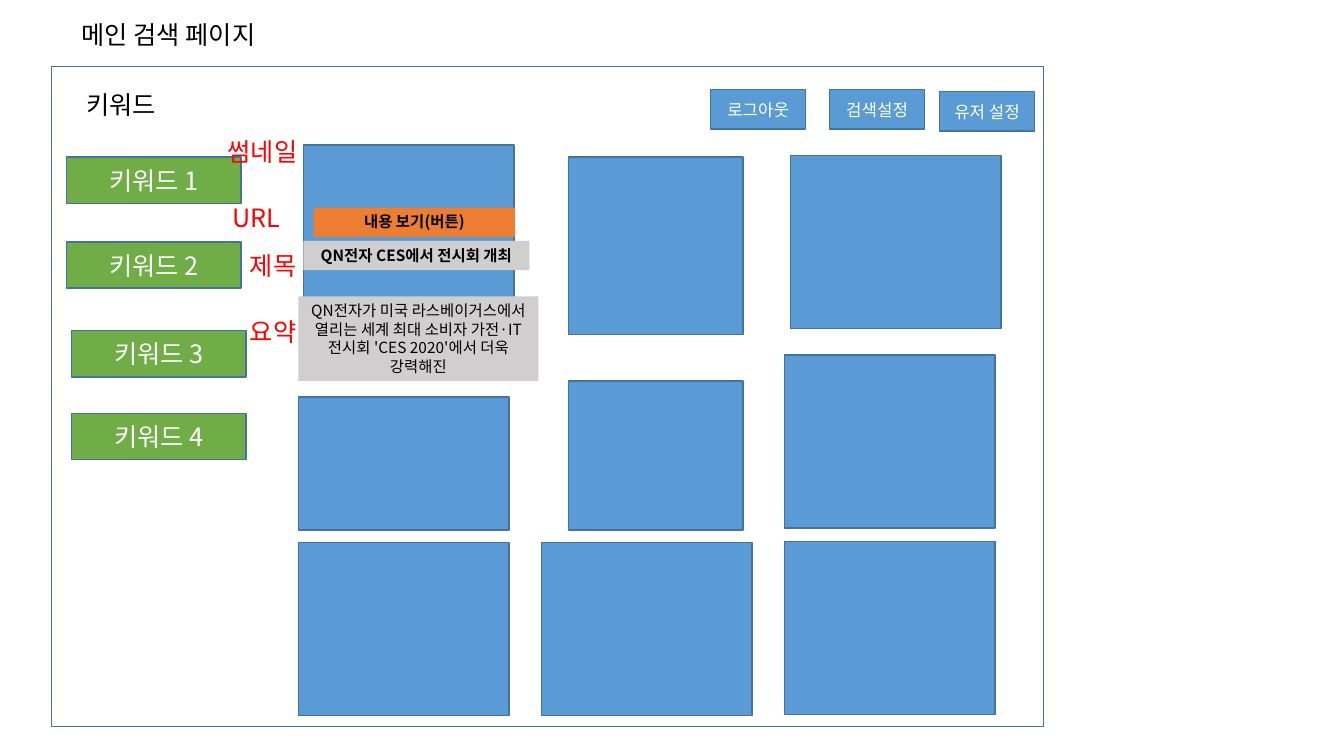
from pptx import Presentation
from pptx.dml.color import RGBColor
from pptx.enum.shapes import MSO_SHAPE
from pptx.enum.text import MSO_ANCHOR, MSO_AUTO_SIZE, PP_ALIGN
from pptx.oxml.ns import qn
from pptx.util import Inches, Pt
from lxml import etree

FONT = "Noto Sans CJK KR"
WHITE, BLACK, RED = "FFFFFF", "000000", "FF0000"
BLUE, GREEN, ORANGE, GRAY, OUTLINE = "5B9BD5", "70AD47", "ED7D31", "D0CECE", "43739E"


def write(shape, text, size, color, align=PP_ALIGN.LEFT, anchor=MSO_ANCHOR.TOP, bold=False):
    """Fill a shape with one wrapped paragraph, using FONT for Latin and Korean."""
    frame = shape.text_frame
    frame.word_wrap = True
    frame.auto_size = MSO_AUTO_SIZE.NONE
    frame.vertical_anchor = anchor
    frame.text = text
    paragraph = frame.paragraphs[0]
    paragraph.alignment = align
    font = paragraph.font
    font.size, font.bold, font.name = Pt(size), bold, FONT
    font.color.rgb = RGBColor.from_string(color)
    latin = paragraph._p.find(".//" + qn("a:latin"))
    east_asian = etree.Element(qn("a:ea"), typeface=FONT)
    latin.addnext(east_asian)


def add_rectangle(left, top, width, height, fill, outline=OUTLINE):
    box = page.shapes.add_shape(
        MSO_SHAPE.RECTANGLE, Inches(left), Inches(top), Inches(width), Inches(height))
    box.shadow.inherit = False
    box.fill.solid()
    box.fill.fore_color.rgb = RGBColor.from_string(fill)
    if outline:
        box.line.color.rgb = RGBColor.from_string(outline)
        box.line.width = Pt(1)
    else:
        box.line.fill.background()
    return box


deck = Presentation()
deck.slide_width, deck.slide_height = Inches(13.33), Inches(7.5)
page = deck.slides.add_slide(deck.slide_layouts[5])

title = page.shapes.title
title.left, title.top = Inches(0.71), Inches(0.14)
title.width, title.height = Inches(2.61), Inches(0.4)
write(title, "메인 검색 페이지", 18, BLACK)

# Page frame
add_rectangle(0.51, 0.66, 9.84, 6.55, WHITE)

# Keyword buttons
for number, (left, top) in enumerate([(0.66, 1.56), (0.66, 2.4), (0.71, 3.28), (0.71, 4.1)], 1):
    button = add_rectangle(left, top, 1.73, 0.46, GREEN)
    write(button, f"키워드 {number}", 18, WHITE, PP_ALIGN.CENTER, MSO_ANCHOR.MIDDLE)

# Menu buttons
for label, left, top in [("로그아웃", 7.05, 0.89), ("검색설정", 8.23, 0.89), ("유저 설정", 9.32, 0.91)]:
    button = add_rectangle(left, top, 0.94, 0.39, BLUE)
    write(button, label, 12, WHITE, PP_ALIGN.CENTER, MSO_ANCHOR.MIDDLE)

# Result thumbnails, row by row
for left, top, width, height in [
    (3.01, 1.44, 2.09, 1.84), (5.64, 1.56, 1.73, 1.76), (7.84, 1.54, 2.09, 1.72),
    (2.96, 3.94, 2.09, 1.32), (5.64, 3.78, 1.73, 1.48), (7.78, 3.52, 2.09, 1.72),
    (2.96, 5.38, 2.09, 1.72), (5.37, 5.38, 2.09, 1.72), (7.78, 5.37, 2.09, 1.72),
]:
    add_rectangle(left, top, width, height, BLUE)

# Details of the first result
summary = "QN전자가 미국 라스베이거스에서 열리는 세계 최대 소비자 가전·IT 전시회 'CES 2020'에서 더욱 강력해진"
for text, left, top, width, height, fill, bold in [
    ("내용 보기(버튼)", 3.11, 2.06, 2, 0.29, ORANGE, True),
    ("QN전자 CES에서 전시회 개최", 3.01, 2.39, 2.24, 0.29, GRAY, True),
    (summary, 2.96, 2.94, 2.38, 0.84, GRAY, False),
]:
    strip = add_rectangle(left, top, width, height, fill, outline=None)
    write(strip, text, 11, BLACK, PP_ALIGN.CENTER, bold=bold)

# Heading and red field names
for text, left, top, width, color in [
    ("키워드", 0.76, 0.84, 2.55, BLACK),
    ("썸네일", 2.16, 1.3, 1.16, RED),
    ("URL", 2.21, 1.96, 1.16, RED),
    ("제목", 2.38, 2.43, 1.16, RED),
    ("요약", 2.38, 3.09, 1.16, RED),
]:
    label = page.shapes.add_textbox(Inches(left), Inches(top), Inches(width), Inches(0.4))
    write(label, text, 18, color)

deck.save("out.pptx")
